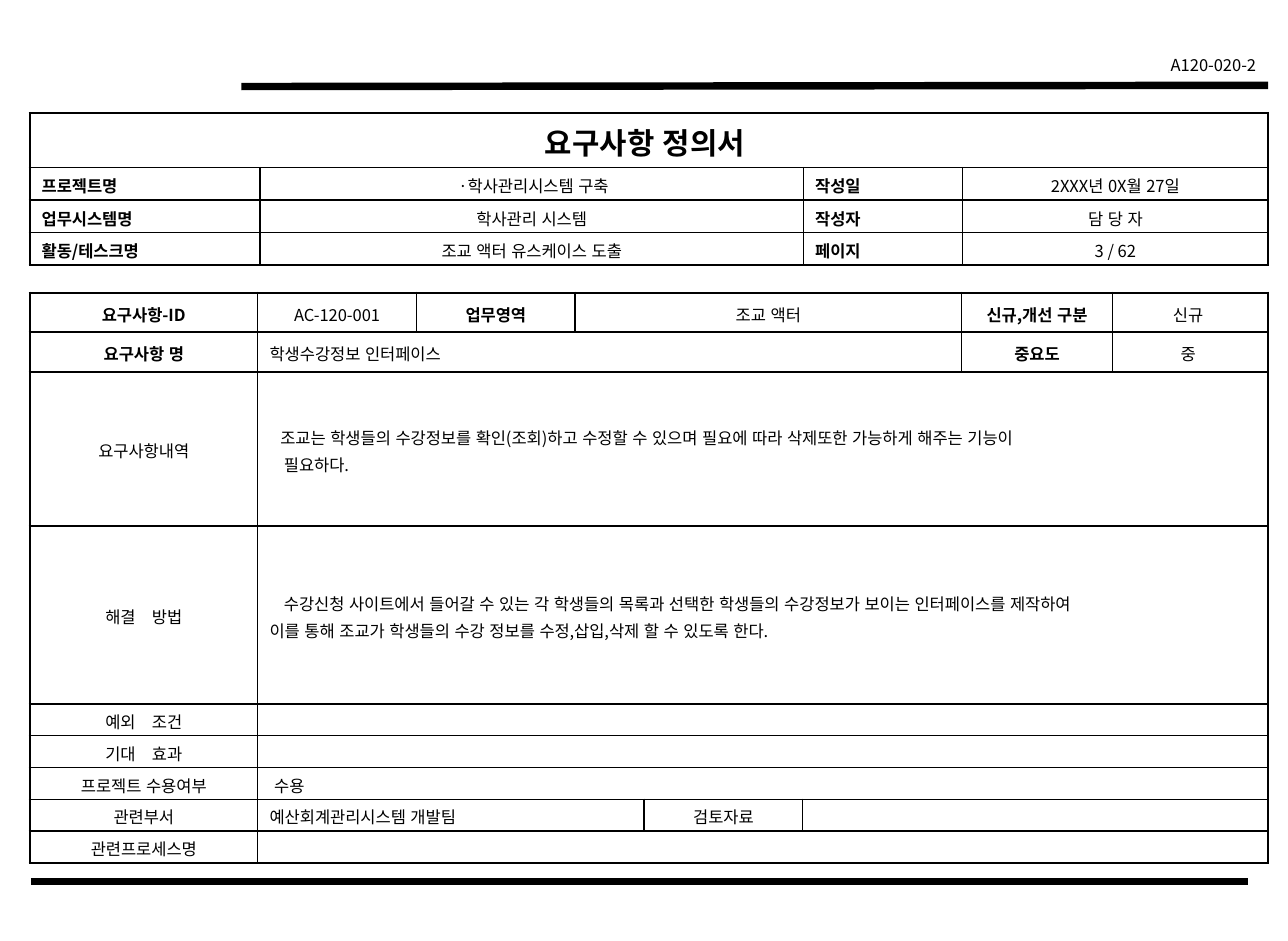
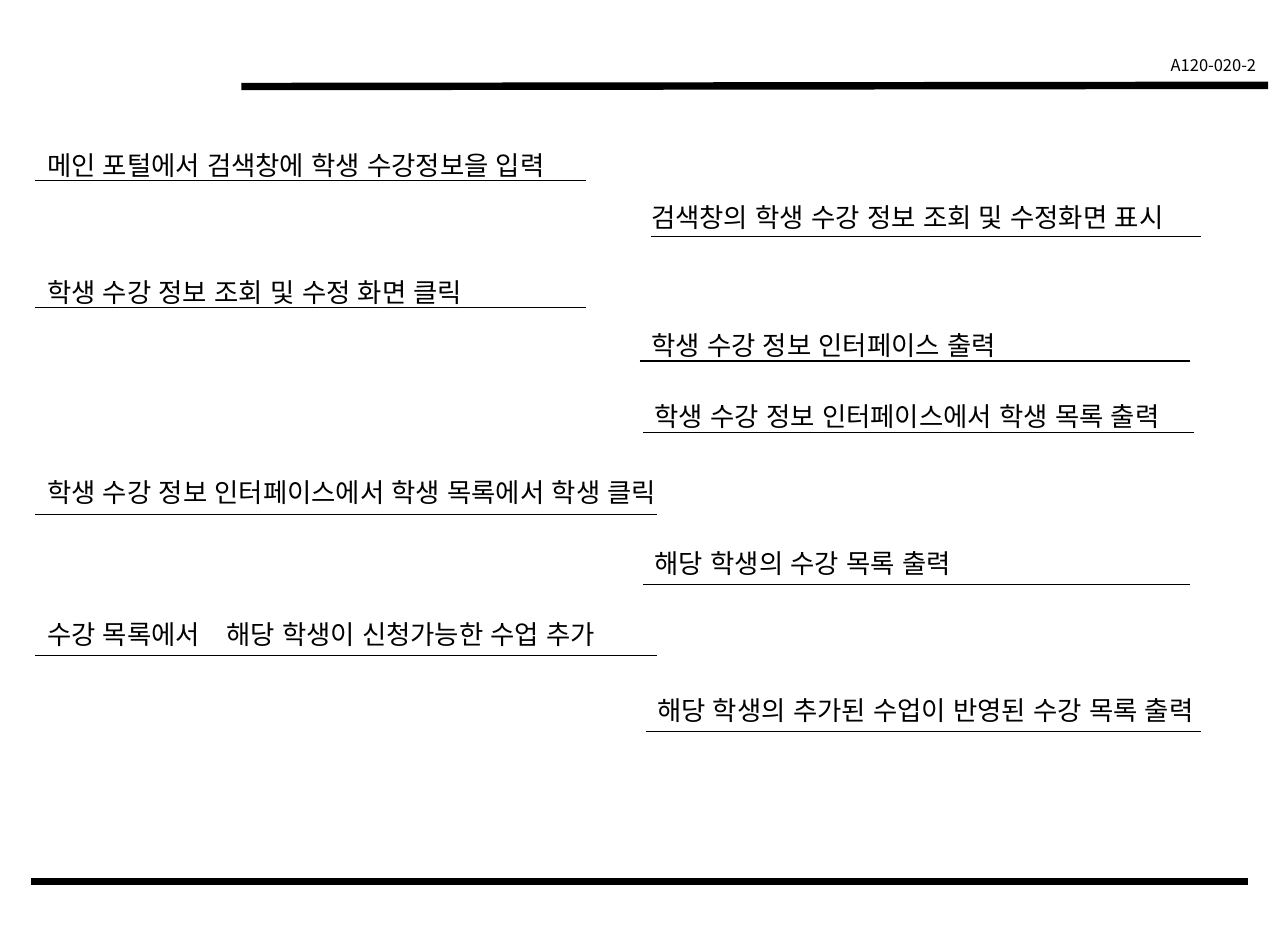
from dataclasses import dataclass

from lxml.etree import SubElement
from pptx import Presentation
from pptx.dml.color import RGBColor
from pptx.enum.lang import MSO_LANGUAGE_ID
from pptx.enum.shapes import MSO_CONNECTOR, MSO_SHAPE
from pptx.enum.text import MSO_ANCHOR, PP_ALIGN
from pptx.oxml.ns import qn
from pptx.util import Inches, Pt


@dataclass(frozen=True)
class Theme:
    font: str = "Noto Sans CJK KR"
    ink: RGBColor = RGBColor(0, 0, 0)
    paper: RGBColor = RGBColor(255, 255, 255)
    title: int = 18
    step: int = 16
    body: int = 10
    band: float = 4.5
    heavy: float = 1.5
    thin: float = 1
    hairline: float = 0.75
    lead: float = 0.2  # space before a table line, as a share of its size


@dataclass(frozen=True)
class Cell:
    text: str = ""
    span: int = 1
    bold: bool = False
    align: PP_ALIGN = PP_ALIGN.CENTER
    size: int = Theme.body
    indents: tuple = ()  # one per line, in inches


def write(frame, text, theme, size, bold=False, align=PP_ALIGN.LEFT, lead=0, indents=()):
    """Fill a text frame, one paragraph per line of text."""
    for number, line in enumerate(text.split("\n")):
        paragraph = frame.paragraphs[0] if number == 0 else frame.add_paragraph()
        paragraph.alignment = align
        paragraph.space_before = Pt(size * lead)
        if number < len(indents):
            paragraph._p.get_or_add_pPr().set("indent", str(Inches(indents[number])))
        if not line:
            paragraph._p.get_or_add_endParaRPr().set("sz", str(size * 100))
            continue
        run = paragraph.add_run()
        run.text = line
        run.font.size = Pt(size)
        run.font.bold = bold
        run.font.color.rgb = theme.ink
        run.font.name = theme.font
        run.font.language_id = MSO_LANGUAGE_ID.KOREAN
        SubElement(run.font._element, qn("a:ea"), typeface=theme.font)


class Deck:
    """Holds the style and the current slide; lengths are percent of the slide."""

    def __init__(self, theme):
        self.theme = theme
        self.file = Presentation()
        self.file.slide_width = Pt(780)
        self.file.slide_height = Pt(570)
        self.slide = None

    def x(self, share):
        return round(self.file.slide_width * share / 100)

    def y(self, share):
        return round(self.file.slide_height * share / 100)

    def box(self, left, top, width, height):
        return self.x(left), self.y(top), self.x(width), self.y(height)

    def new_slide(self, code):
        self.slide = self.file.slides.add_slide(self.file.slide_layouts[6])
        shapes = self.slide.shapes
        # Bands at head and foot
        self.line(shapes, 18.74, 9.2, 98.46, 9.07, self.theme.band)
        self.line(shapes, 2.4, 93.67, 96.92, 93.67, self.theme.band)
        # Document code
        frame = shapes.add_textbox(*self.box(88.46, 5.25, 9.97, 3.41)).text_frame
        frame.word_wrap = True
        write(frame, code, self.theme, self.theme.body, align=PP_ALIGN.RIGHT)

    def line(self, shapes, x1, y1, x2, y2, width):
        line = shapes.add_connector(
            MSO_CONNECTOR.STRAIGHT, self.x(x1), self.y(y1), self.x(x2), self.y(y2))
        line.line.color.rgb = self.theme.ink
        line.line.width = Pt(width)
        SubElement(line._element.spPr, qn("a:effectLst"))

    def step(self, text, left, top, width, height, rule):
        """A line of the scenario with the rule under it."""
        shapes = self.slide.shapes.add_group_shape().shapes
        panel = shapes.add_shape(MSO_SHAPE.RECTANGLE, *self.box(left, top, width, height))
        panel.shadow.inherit = False
        panel.fill.solid()
        panel.fill.fore_color.rgb = self.theme.paper
        panel.line.fill.background()
        panel.text_frame.vertical_anchor = MSO_ANCHOR.TOP
        panel.text_frame.word_wrap = True
        write(panel.text_frame, text, self.theme, self.theme.step)
        start, end, level = rule
        self.line(shapes, start, level, end, level, self.theme.hairline)

    def border(self, cell, **widths):
        properties = cell._tc.get_or_add_tcPr()
        for place, (side, width) in enumerate(widths.items()):
            edge = properties.makeelement(qn(f"a:ln{side}"), w=str(Pt(width)))
            fill = SubElement(edge, qn("a:solidFill"))
            SubElement(fill, qn("a:srgbClr"), val=str(self.theme.ink))
            properties.insert(place, edge)

    def table(self, top, columns, heights, content, heavy_rows):
        """heavy_rows numbers the horizontal edges that are drawn heavy."""
        theme = self.theme
        table = self.slide.shapes.add_table(
            len(heights), len(columns),
            *self.box(2.31, top, sum(columns), sum(heights))).table
        table.first_row = table.horz_banding = False
        for column, width in zip(table.columns, columns):
            column.width = self.x(width)
        for row, height in zip(table.rows, heights):
            row.height = self.y(height)

        def weight(heavy):
            return theme.heavy if heavy else theme.thin

        for r, entries in enumerate(content):
            c = 0
            for entry in entries:
                end = c + entry.span
                for spot in range(c, end):
                    cell = table.cell(r, spot)
                    cell.fill.background()
                    cell.vertical_anchor = MSO_ANCHOR.MIDDLE
                    cell.margin_top, cell.margin_bottom = Pt(2), Pt(0)
                    write(cell.text_frame, entry.text if spot == c else "", theme,
                          entry.size, bold=entry.bold, align=entry.align,
                          lead=theme.lead, indents=entry.indents)
                    self.border(cell, L=weight(c == 0), R=weight(end == len(columns)),
                                T=weight(r in heavy_rows), B=weight(r + 1 in heavy_rows))
                if entry.span > 1:
                    table.cell(r, c).merge(table.cell(r, end - 1))
                c = end


def label(text):
    return Cell(text, bold=True, align=PP_ALIGN.JUSTIFY)


def head(text):
    return Cell(text, bold=True)


def wide(text="", span=7, indents=()):
    return Cell(text, span, align=PP_ALIGN.LEFT, indents=indents)


DOCUMENT = [
    [Cell("요구사항 정의서 ", 4, bold=True, size=Theme.title)],
    [label("프로젝트명"), Cell(" ·학사관리시스템 구축"),
     label("작성일"), Cell("2XXX년 0X월 27일")],
    [label("업무시스템명 "), Cell("학사관리 시스템"), label("작성자"), Cell("담 당 자")],
    [label("활동/테스크명"), Cell("조교 액터 유스케이스 도출"),
     label("페이지"), Cell("3 / 62")],
]

REQUIREMENT = [
    [head("요구사항-ID"), Cell("AC-120-001"), head("업무영역"), Cell("조교 액터", 3),
     head("신규,개선 구분"), Cell("신규 ")],
    [head("요구사항 명"), wide("학생수강정보 인터페이스", 5), head("중요도"), Cell("중 ")],
    [Cell("요구사항내역"),
     wide("조교는 학생들의 수강정보를 확인(조회)하고 수정할 수 있으며 "
          "필요에 따라 삭제또한 가능하게 해주는 기능이\n필요하다.", indents=(0.09, 0.12))],
    [Cell("해결　방법"),
     wide("수강신청 사이트에서 들어갈 수 있는 각 학생들의 목록과 선택한 학생들의 "
          "수강정보가 보이는 인터페이스를 제작하여\n"
          "이를 통해 조교가 학생들의 수강 정보를 수정,삽입,삭제 할 수 있도록 한다.",
          indents=(0.12,))],
    [Cell("예외　조건"), wide()],
    [Cell("기대　효과"), wide()],
    [Cell("프로젝트 수용여부"), wide(" 수용")],
    [Cell("관련부서"), wide("예산회계관리시스템 개발팀", 3), Cell("검토자료"), wide(span=3)],
    [Cell("관련프로세스명"), wide()],
]

# Text, left, top, width, height, (rule start, rule end, rule level)
USER, LOW, TALL = 2.75, 5.93, 6.94
SCENARIO = [
    ("메인 포털에서 검색창에 학생 수강정보을 입력",
     USER, 15.18, 43.58, LOW, (USER, 45.5, 19.19)),
    ("검색창의 학생 수강 정보 조회 및 수정화면 표시",
     49.66, 20.8, 43.58, LOW, (50.51, 93.24, 25.13)),
    ("학생 수강 정보 조회 및 수정 화면 클릭",
     USER, 28.76, 43.58, LOW, (USER, 45.5, 32.7)),
    ("학생 수강 정보 인터페이스 출력",
     49.66, 34.34, 43.58, LOW, (49.66, 92.41, 38.36)),
    ("학생 수강 정보 인터페이스에서 학생 목록에서 학생 클릭",
     USER, 50, 53.09, TALL, (USER, 51.04, 54.65)),
    ("학생 수강 정보 인터페이스에서 학생 목록 출력",
     49.93, 41.92, 43.58, LOW, (49.93, 92.69, 45.94)),
    ("해당 학생의 수강 목록 출력",
     49.93, 57.56, 42.2, TALL, (49.93, 92.41, 62.12)),
    ("수강 목록에서　해당 학생이 신청가능한 수업 추가",
     USER, 65.03, 53.09, TALL, (USER, 51.04, 69.66)),
    ("해당 학생의 추가된 수업이 반영된 수강 목록 출력",
     50.12, 73.11, 44.97, TALL, (50.12, 93.24, 77.74)),
]


def main():
    deck = Deck(Theme())
    code = "A120-020-2"

    # Requirement definition
    deck.new_slide(code)
    deck.table(12.01, [17.88, 42.18, 12.36, 23.74], [5.81] + [3.45] * 3, DOCUMENT, {0, 4})
    deck.table(31.11, [17.7, 12.32, 12.32, 5.36, 12.32, 12.32, 11.73, 12.1],
               [4.2, 4.2, 16.41, 18.9] + [3.38] * 5, REQUIREMENT, {0, 1, 2, 9})

    # Use case scenario
    deck.new_slide(code)
    for step in SCENARIO:
        deck.step(*step)

    deck.file.save("out.pptx")


if __name__ == "__main__":
    main()
